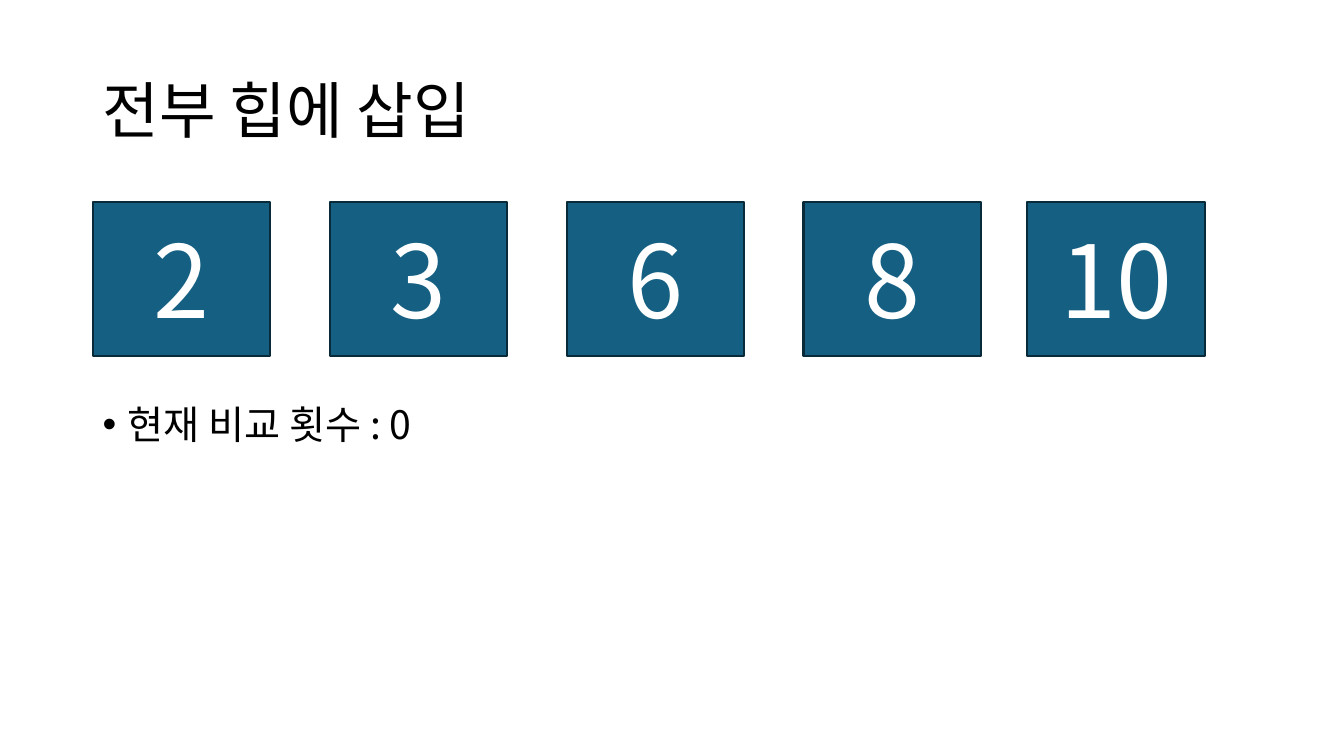
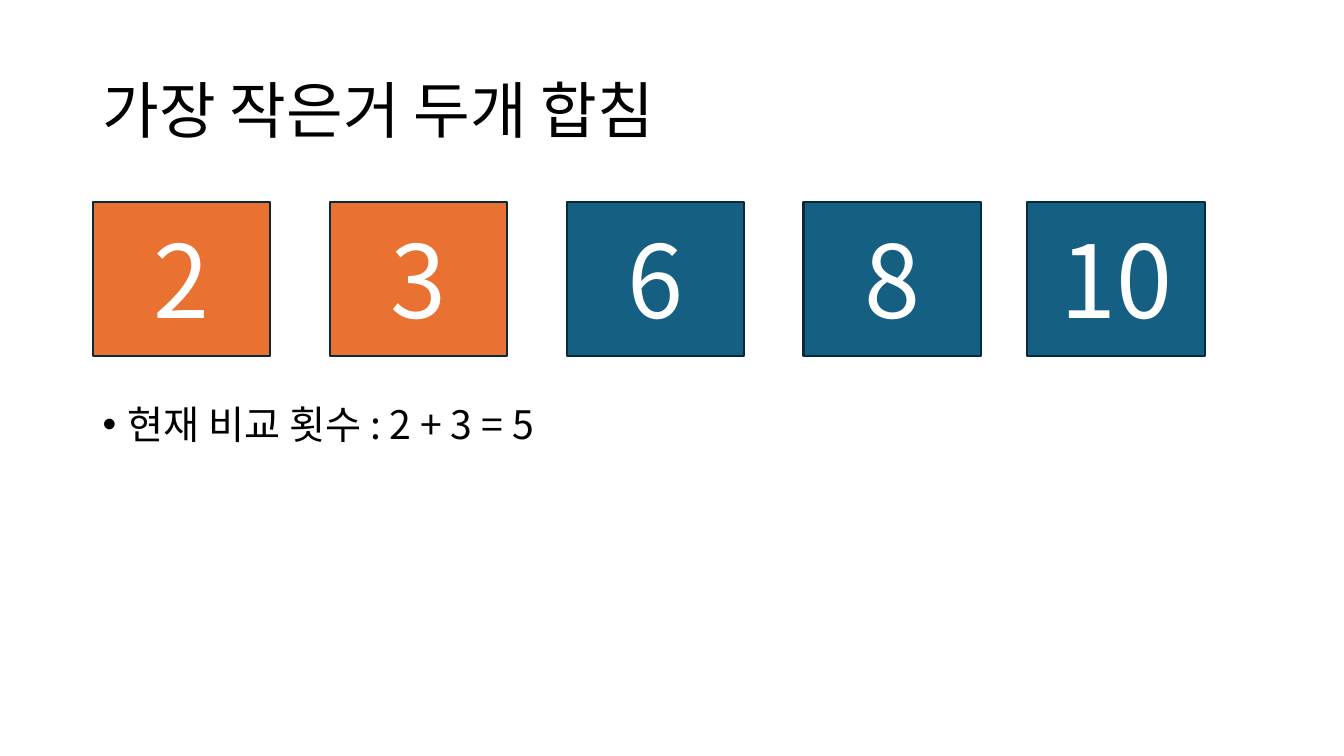
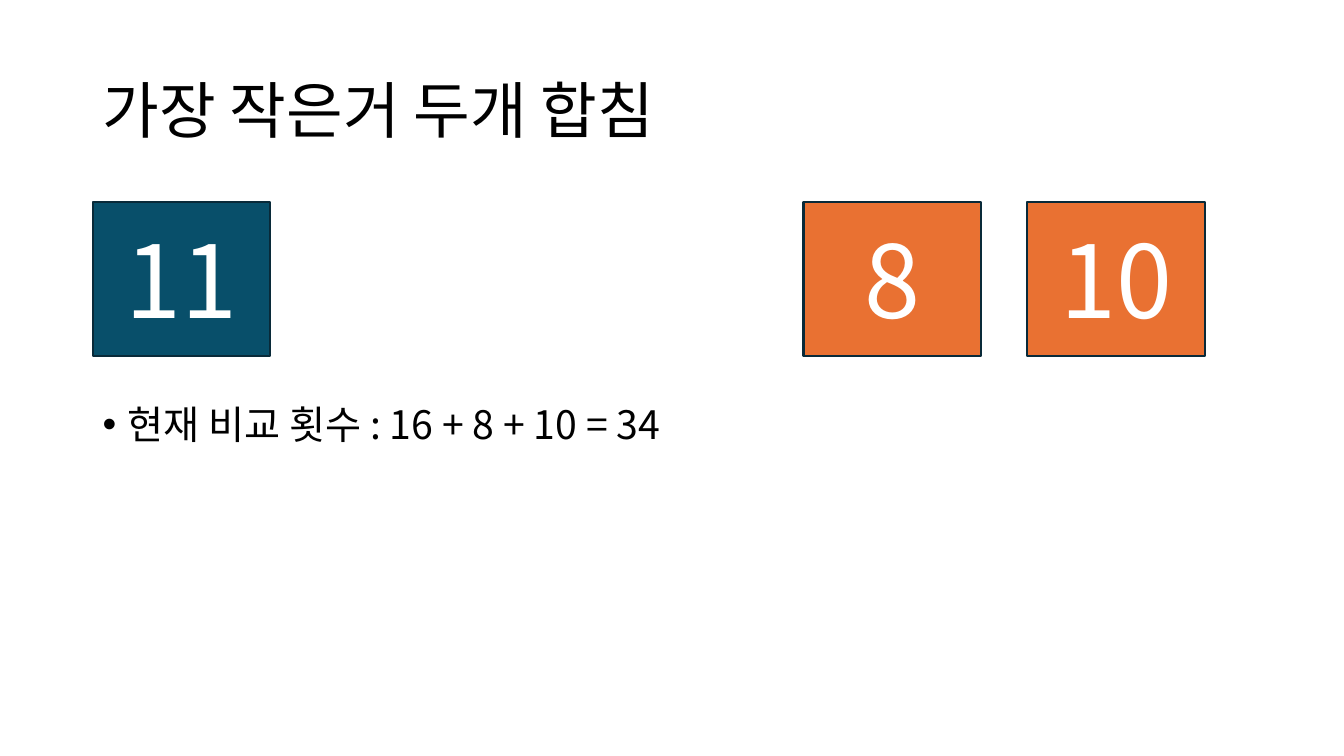
"""Build three slides that merge the smallest heap values step by step."""
from dataclasses import dataclass

from lxml.etree import SubElement
from pptx import Presentation
from pptx.dml.color import RGBColor
from pptx.enum.shapes import MSO_SHAPE
from pptx.enum.text import MSO_ANCHOR, PP_ALIGN
from pptx.oxml.ns import qn
from pptx.shapes.autoshape import Shape
from pptx.slide import Slide
from pptx.util import Inches, Pt

FONT = "Noto Sans CJK KR"
COLORS = {
    "text": "000000",
    "value": "FFFFFF",
    "outline": "092A39",
    "waiting": "156082",
    "chosen": "E97132",
    "merged": "084F6A",
}
MARGIN = 0.92
TEXT_WIDTH = 11.5
BOX_TOP, BOX_WIDTH, BOX_HEIGHT = 2, 1.76, 1.53
BOX_LEFTS = [MARGIN + 2.35 * column for column in range(4)] + [10.19]


@dataclass(frozen=True)
class HeapBox:
    column: int
    value: int
    state: str = "waiting"


@dataclass(frozen=True)
class HeapStep:
    title: str
    count: str
    boxes: list[HeapBox]


MERGE_TITLE = "가장 작은거 두개 합침"
STEPS = [
    HeapStep(
        "전부 힙에 삽입",
        "0",
        [HeapBox(column, value) for column, value in enumerate([2, 3, 6, 8, 10])],
    ),
    HeapStep(
        MERGE_TITLE,
        "2 + 3 = 5",
        [
            HeapBox(0, 2, "chosen"),
            HeapBox(1, 3, "chosen"),
            HeapBox(2, 6),
            HeapBox(3, 8),
            HeapBox(4, 10),
        ],
    ),
    HeapStep(
        MERGE_TITLE,
        "16 + 8 + 10 = 34",
        [
            HeapBox(0, 11, "merged"),
            HeapBox(3, 8, "chosen"),
            HeapBox(4, 10, "chosen"),
        ],
    ),
]


def write_text(
    shape: Shape,
    text: str,
    *,
    size: int,
    color: str = "text",
    align: PP_ALIGN = PP_ALIGN.LEFT,
    anchor: MSO_ANCHOR = MSO_ANCHOR.MIDDLE,
    line_spacing: float = 1.0,
    space_before: int = 0,
    bullet: bool = False,
) -> None:
    frame = shape.text_frame
    frame.word_wrap = True
    frame.vertical_anchor = anchor
    paragraph = frame.paragraphs[0]
    paragraph.alignment = align
    paragraph.line_spacing = line_spacing
    paragraph.space_before = Pt(space_before)
    if bullet:
        properties = paragraph._p.get_or_add_pPr()
        properties.set("marL", str(Inches(0.25)))
        properties.set("indent", str(Inches(-0.25)))
        SubElement(properties, qn("a:buFont"), typeface="Arial")
        SubElement(properties, qn("a:buChar"), char="•")
    run = paragraph.add_run()
    run.text = text
    run.font.size = Pt(size)
    run.font.color.rgb = RGBColor.from_string(COLORS[color])
    run.font.name = FONT
    SubElement(run._r.get_or_add_rPr(), qn("a:ea"), typeface=FONT)


def add_text_area(slide: Slide, top: float, height: float) -> Shape:
    return slide.shapes.add_textbox(
        Inches(MARGIN), Inches(top), Inches(TEXT_WIDTH), Inches(height)
    )


def add_heap_box(slide: Slide, box: HeapBox) -> None:
    shape = slide.shapes.add_shape(
        MSO_SHAPE.RECTANGLE,
        Inches(BOX_LEFTS[box.column]),
        Inches(BOX_TOP),
        Inches(BOX_WIDTH),
        Inches(BOX_HEIGHT),
    )
    shape.shadow.inherit = False
    shape.fill.solid()
    shape.fill.fore_color.rgb = RGBColor.from_string(COLORS[box.state])
    shape.line.color.rgb = RGBColor.from_string(COLORS["outline"])
    shape.line.width = Pt(1.5)
    write_text(shape, str(box.value), size=72, color="value", align=PP_ALIGN.CENTER)


def add_step(slide: Slide, step: HeapStep) -> None:
    write_text(add_text_area(slide, 0.4, 1.45), step.title, size=44, line_spacing=0.9)
    write_text(
        add_text_area(slide, 3.97, 2.78),
        f"현재 비교 횟수 : {step.count}",
        size=28,
        anchor=MSO_ANCHOR.TOP,
        line_spacing=0.9,
        space_before=10,
        bullet=True,
    )
    for box in step.boxes:
        add_heap_box(slide, box)


def main() -> None:
    presentation = Presentation()
    presentation.slide_width = Inches(13.33)
    presentation.slide_height = Inches(7.5)
    blank_layout = presentation.slide_layouts[6]
    for step in STEPS:
        add_step(presentation.slides.add_slide(blank_layout), step)
    presentation.save("out.pptx")


if __name__ == "__main__":
    main()
